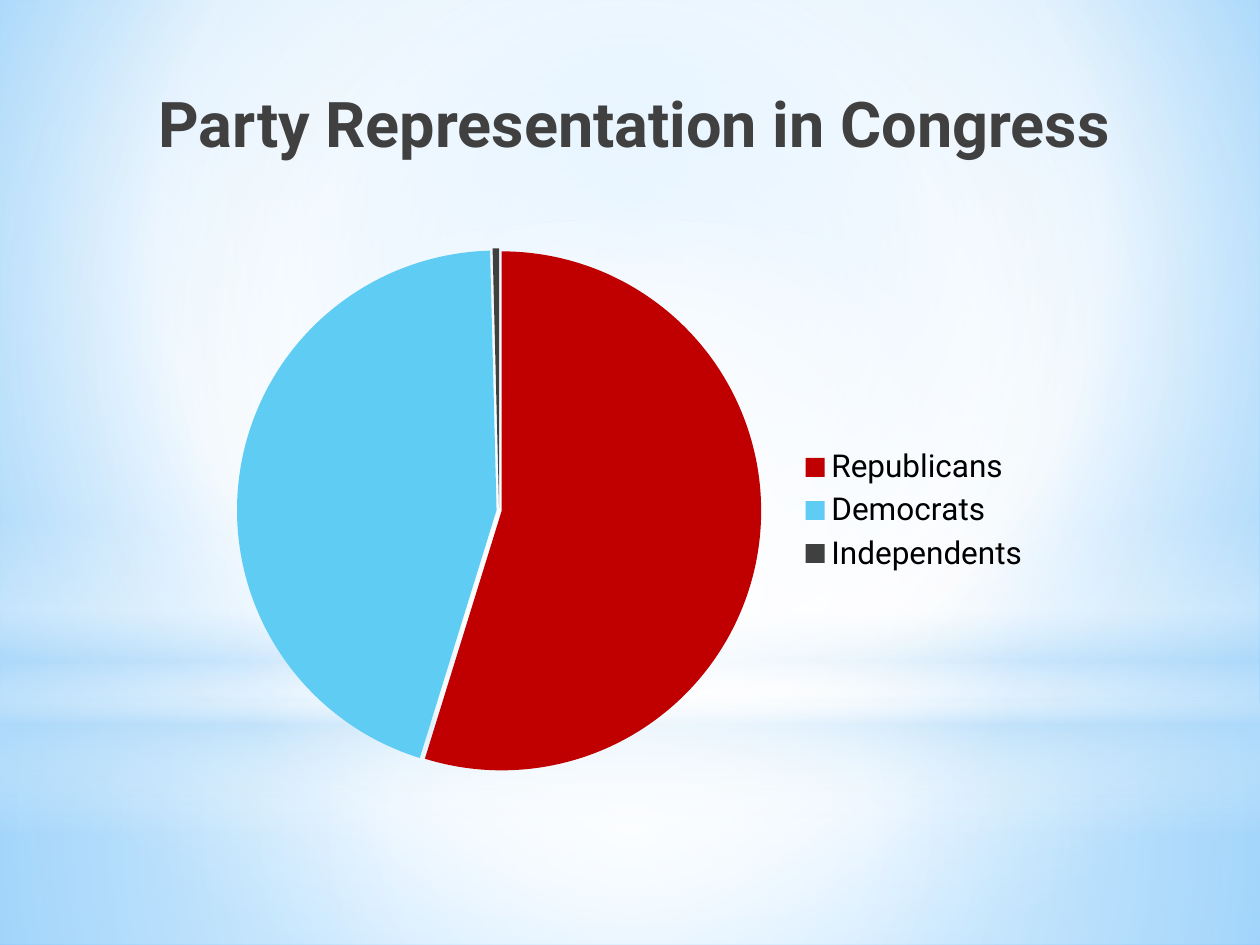
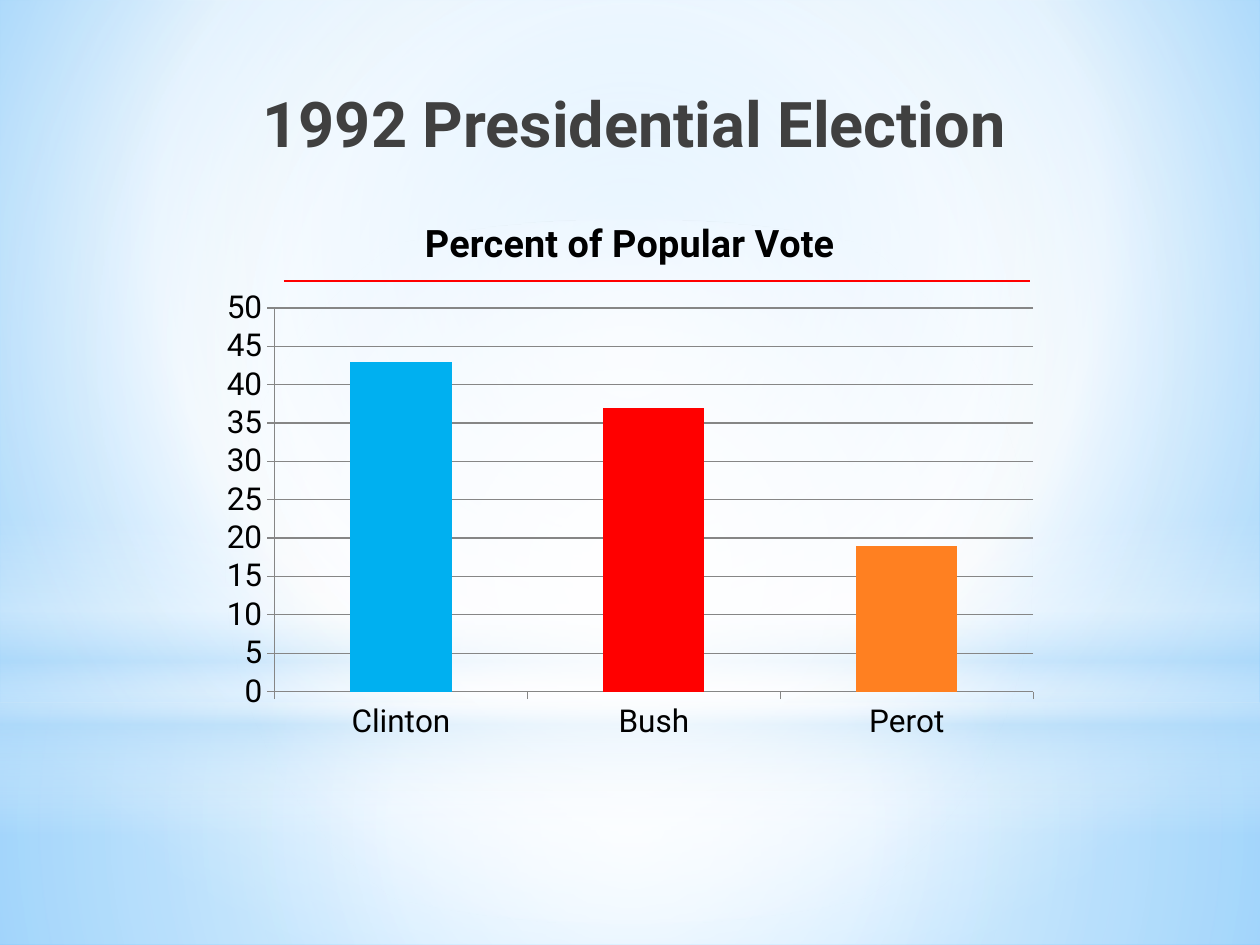
from lxml import etree
from pptx import Presentation
from pptx.chart.data import CategoryChartData
from pptx.dml.color import RGBColor
from pptx.enum.chart import XL_CHART_TYPE, XL_LEGEND_POSITION, XL_TICK_MARK
from pptx.enum.shapes import MSO_CONNECTOR, MSO_SHAPE
from pptx.enum.text import MSO_ANCHOR, MSO_AUTO_SIZE, PP_ALIGN
from pptx.oxml.ns import qn
from pptx.util import Emu, Pt

PIE, COLUMN = XL_CHART_TYPE.PIE, XL_CHART_TYPE.COLUMN_CLUSTERED
RIGHT, OUTSIDE = XL_LEGEND_POSITION.RIGHT, XL_TICK_MARK.OUTSIDE
RECT, OVAL = MSO_SHAPE.RECTANGLE, MSO_SHAPE.OVAL
STRAIGHT = MSO_CONNECTOR.STRAIGHT
CENTER, MIDDLE, NO_FIT = PP_ALIGN.CENTER, MSO_ANCHOR.MIDDLE, MSO_AUTO_SIZE.NONE

FONT = "Roboto"
W, H = 1260, 945
HORIZON = 703
TITLE_BOX = (50, 42, 1144, 123)
COLORS = {
    "white": "FFFFFF", "mist": "B4DCFA", "sky": "9ED5FF", "edge": "5BB9FF",
    "title": "404040", "text": "000000", "axis": "868686",
    "republican": "C00000", "democrat": "5ECCF3", "independent": "404040",
    "clinton": "00B0F0", "bush": "FF0000", "perot": "FF8021", "rule": "FF0000",
}


def px(n):
    return Emu(round(n * 914400 / 126))


def rgb(name):
    return RGBColor.from_string(COLORS[name])


def set_gradient(parent, stops, focus=None):
    grad = etree.Element(qn("a:gradFill"), rotWithShape="1")
    stop_list = etree.SubElement(grad, qn("a:gsLst"))
    for pos, name, alpha in stops:
        gs = etree.SubElement(stop_list, qn("a:gs"), pos=str(pos * 1000))
        color = etree.SubElement(gs, qn("a:srgbClr"), val=COLORS[name])
        if alpha < 100:
            etree.SubElement(color, qn("a:alpha"), val=str(alpha * 1000))
    if focus:
        circle = etree.SubElement(grad, qn("a:path"), path="circle")
        sides = {side: str(n * 1000) for side, n in zip("ltrb", focus)}
        etree.SubElement(circle, qn("a:fillToRect"), **sides)
    else:
        etree.SubElement(grad, qn("a:lin"), ang=str(90 * 60000), scaled="0")
    parent.replace(parent.find(qn("a:noFill")), grad)


def build_backdrop(master, s):
    master.background.fill.background()
    set_gradient(master._element.find(".//" + qn("p:bgPr")),
                 [(0, "sky", 100), (60, "white", 100), (100, "edge", 100)],
                 (20, 10, 20, 60))
    center = (50, 50, 50, 50)
    layers = [
        (RECT, HORIZON, H - HORIZON,
         [(0, "white", 91), (37, "white", 76), (100, "mist", 79)], center),
        (RECT, 0, HORIZON,
         [(0, "white", 89), (48, "white", 62), (100, "mist", 79)], center),
        (RECT, 519, 315,
         [(0, "white", 0), (29, "white", 30), (45, "mist", 40),
          (55, "white", 26), (65, "mist", 60), (100, "white", 0)], None),
        (OVAL, 220, HORIZON, [(0, "white", 100), (56, "white", 0)], center),
    ]
    for i, (kind, top, height, stops, focus) in enumerate(layers):
        sp = s.shapes.add_shape(kind, 0, px(top), px(W), px(height))
        sp.shadow.inherit = False
        sp.line.fill.background()
        sp.fill.background()
        set_gradient(sp._element.spPr, stops, focus)
        sp._element.nvSpPr.cNvPr.set("id", str(20 + i))
        master.shapes._spTree.insert(2 + i, sp._element)


def set_title(s, text, box):
    title = s.shapes.title
    title.left, title.top, title.width, title.height = map(px, box)
    tf = title.text_frame
    tf.text = text
    tf.word_wrap = True
    tf.auto_size = NO_FIT
    tf.vertical_anchor = MIDDLE
    p = tf.paragraphs[0]
    p.alignment = CENTER
    p.line_spacing = 1.5
    p._p.get_or_add_pPr().set("marL", str(px(25)))
    style_font(p.runs[0].font, 36, "title", True)


def style_font(font, size, color, bold=False):
    font.name, font.size, font.bold = FONT, Pt(size), bold
    font.color.rgb = rgb(color)


def add_chart(s, kind, box, values, colors):
    data = CategoryChartData()
    data.categories = list(values)
    data.add_series("Series 1", list(values.values()))
    chart = s.shapes.add_chart(kind, *map(px, box), data).chart
    style_font(chart.font, 18, "text")
    series = chart.plots[0].series[0]
    for i, name in enumerate(colors):
        fill = series.points[i].format.fill
        fill.solid()
        fill.fore_color.rgb = rgb(name)
    return chart


def add_pie(s, box):
    chart = add_chart(s, PIE, box,
                      {"Republicans": 55, "Democrats": 45, "Independents": 0.4},
                      ["republican", "democrat", "independent"])
    chart.has_title = False
    chart.has_legend = True
    chart.legend.position = RIGHT
    chart.legend.include_in_layout = False
    chart.plots[0].vary_by_categories = True
    explosion = etree.Element(qn("c:explosion"), val="1")
    chart.plots[0].series[0]._element.get_or_add_spPr().addnext(explosion)


def add_columns(s, box):
    chart = add_chart(s, COLUMN, box, {"Clinton": 43, "Bush": 37, "Perot": 19},
                      ["clinton", "bush", "perot"])
    chart.has_legend = False
    chart.has_title = True
    tf = chart.chart_title.text_frame
    tf.text = "Percent of Popular Vote"
    style_font(tf.paragraphs[0].runs[0].font, 21.6, "text", True)
    chart.chart_title.include_in_layout = False
    plot = chart.plots[0]
    plot.gap_width = 150
    plot.vary_by_categories = False
    value_axis = chart.value_axis
    value_axis.has_major_gridlines = True
    value_axis.minimum_scale, value_axis.maximum_scale = 0, 50
    value_axis.major_unit = 5
    for axis in (chart.category_axis, value_axis):
        axis.major_tick_mark = OUTSIDE
        axis.format.line.color.rgb = rgb("axis")
    value_axis.major_gridlines.format.line.color.rgb = rgb("axis")
    left, top, width, _ = box
    add_rule(s, left + 74, left + width - 20, top + 88)


def add_rule(s, x1, x2, y):
    line = s.shapes.add_connector(STRAIGHT, px(x1), px(y), px(x2), px(y))
    line.line.color.rgb = rgb("rule")
    line.line.width = Pt(0.75)
    etree.SubElement(line._element.spPr, qn("a:effectLst"))


prs = Presentation()
prs.slide_width, prs.slide_height = px(W), px(H)
pages = [
    ("Party Representation in Congress", add_pie, (203, 231, 840, 559)),
    ("1992 Presidential Election", add_columns, (210, 193, 840, 559)),
]
for text, add_content, box in pages:
    s = prs.slides.add_slide(prs.slide_layouts[5])
    set_title(s, text, TITLE_BOX)
    add_content(s, box)
build_backdrop(prs.slide_master, prs.slides[0])
prs.save("out.pptx")
